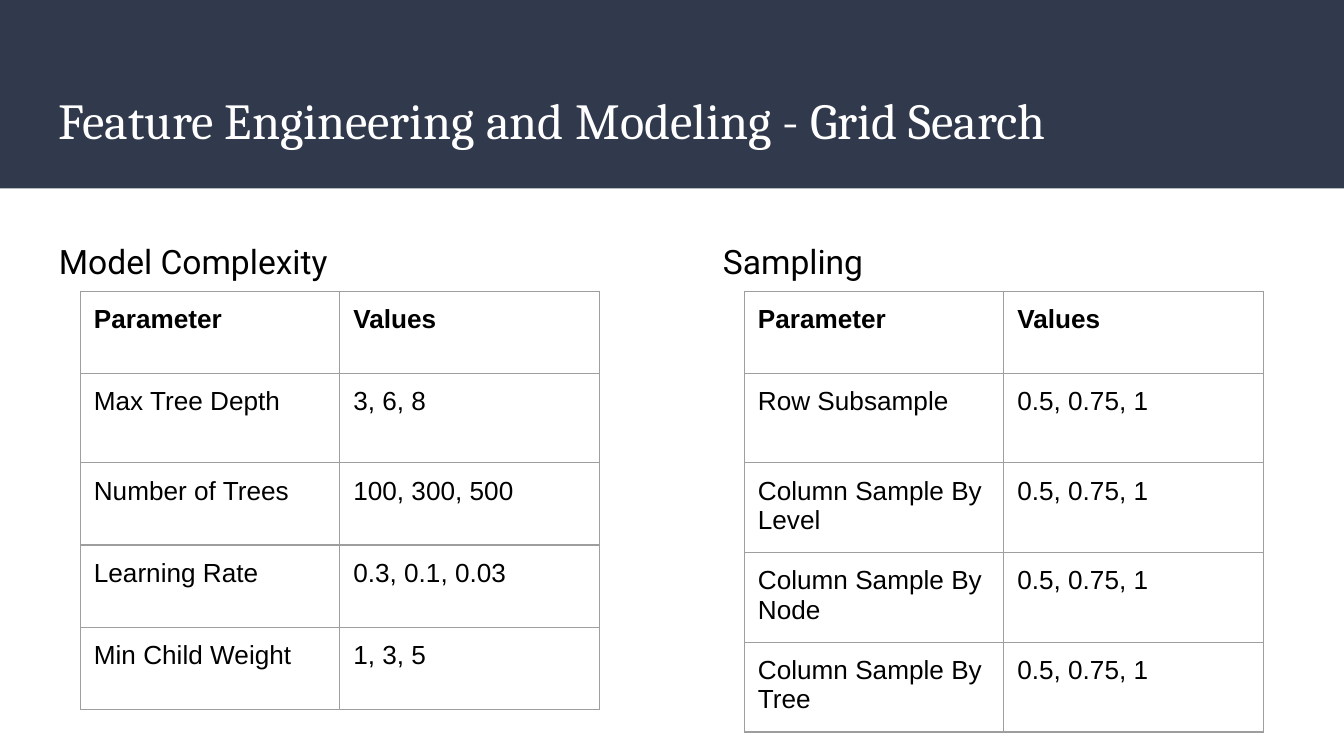
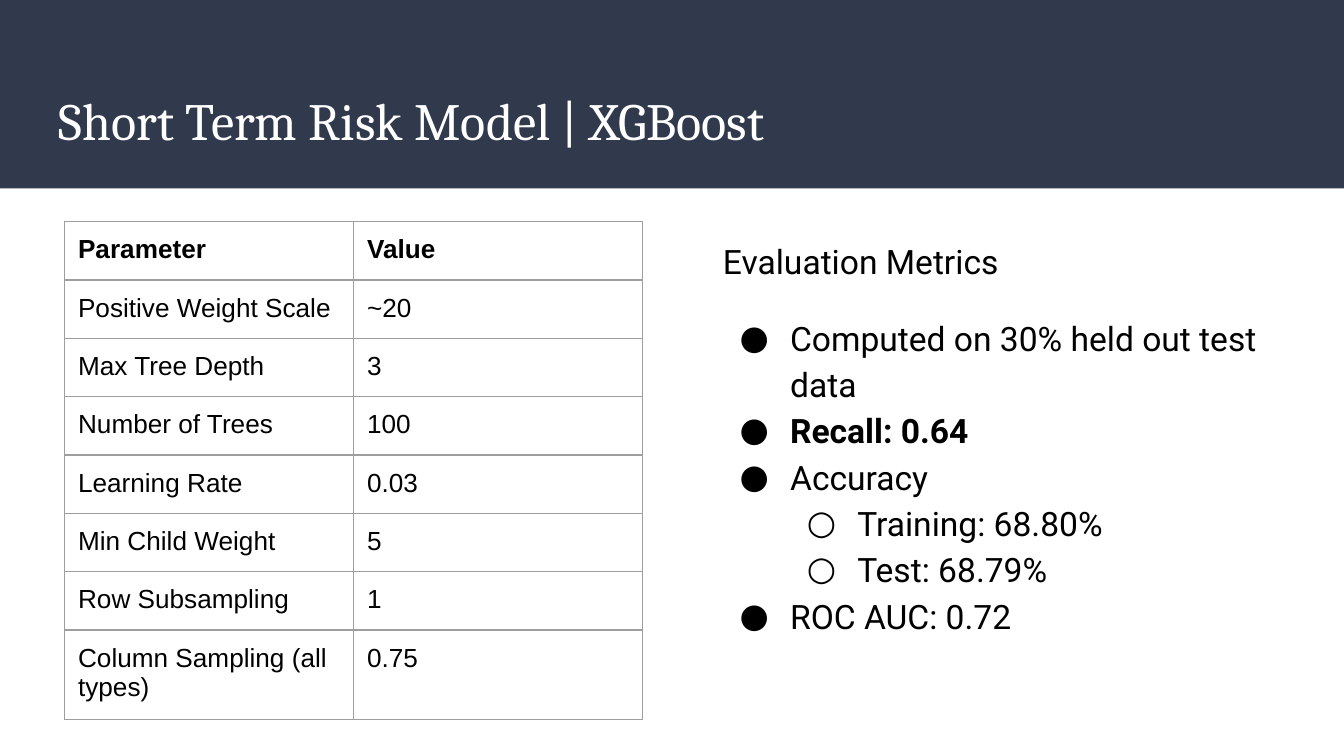
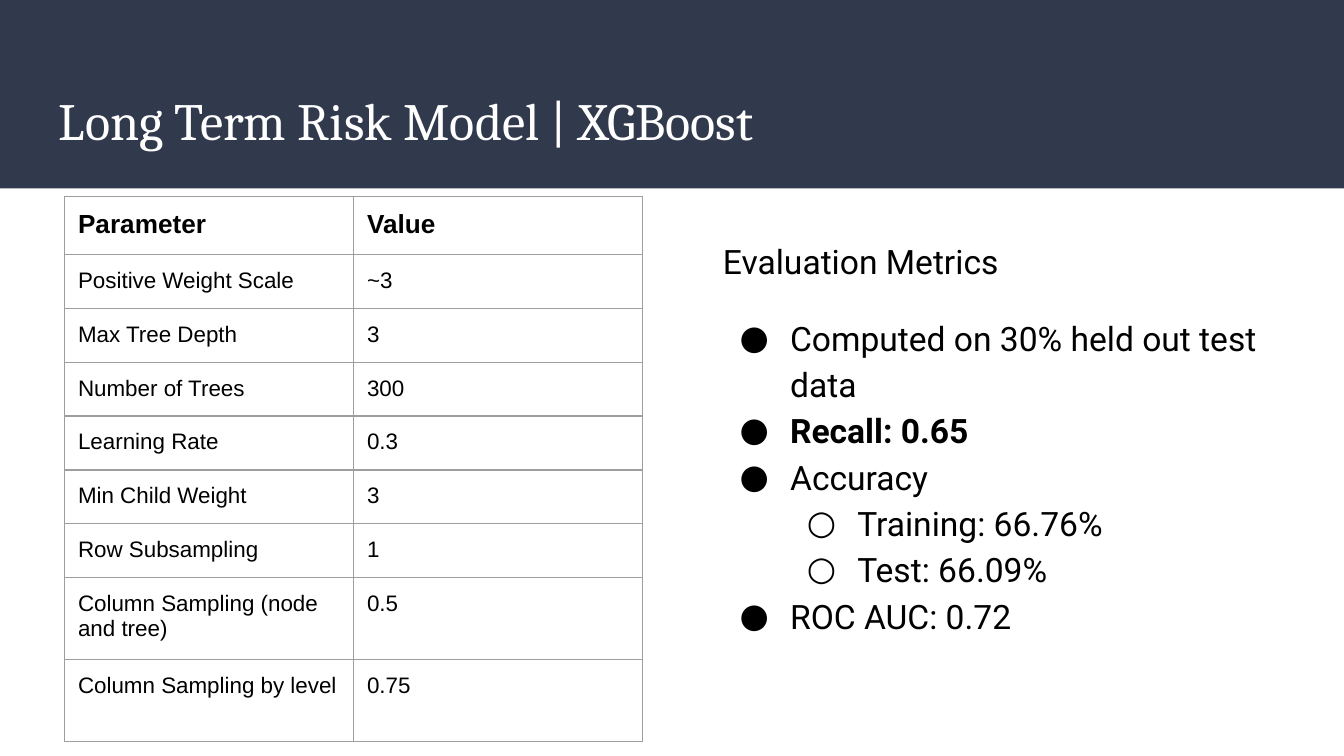
from lxml import etree
from pptx import Presentation
from pptx import util as u
from pptx.dml.color import RGBColor
from pptx.enum import shapes, text
from pptx.oxml.ns import qn

COLOURS = {"band": "31394D", "title": "FFFFFF", "ink": "000000", "rule": "9E9E9E"}
INSET = u.Pt(7.2)
INSETS = {f"margin_{side}": INSET for side in ("left", "right", "top", "bottom")}

# Boxes are left, top, width, height in points
BAND = (0, 0, 720, 101)
TITLE = (24.5, 39.5, 671, 49)
LEFT_BODY = (24.5, 118.8, 314.6, 242)
RIGHT_BODY = (380.2, 118.8, 314.6, 242)

TITLE_FONT = {"name": "Cambria", "size": u.Pt(28)}
BODY_FONT = {"name": "Roboto", "size": u.Pt(18)}
CELL_FONT = {"name": "Arial", "size": u.Pt(14)}
BULLETS = "●○"


def colour(name):
    return RGBColor.from_string(COLOURS[name])


def apply_format(target, values):
    for name, value in values.items():
        setattr(target, name, value)


def write(para, words, font, ink="ink"):
    span = para.add_run()
    span.text = words
    apply_format(span.font, font)
    span.font.color.rgb = colour(ink)


def add_box(page, place, **values):
    box = page.shapes.add_textbox(*map(u.Pt, place))
    apply_format(box.text_frame, {"word_wrap": True, **INSETS, **values})
    return box.text_frame


def add_titled_page(deck, title, size=28):
    page = deck.slides.add_slide(deck.slide_layouts[6])
    # Header band
    band = page.shapes.add_shape(shapes.MSO_SHAPE.RECTANGLE, *map(u.Pt, BAND))
    band.shadow.inherit = False
    band.fill.solid()
    band.fill.fore_color.rgb = colour("band")
    band.line.fill.background()
    # Title
    frame = add_box(page, TITLE, vertical_anchor=text.MSO_ANCHOR.MIDDLE)
    write(frame.paragraphs[0], title, {**TITLE_FONT, "size": u.Pt(size)}, "title")
    return page


def add_bullet(para, level):
    properties = para._p.get_or_add_pPr()
    properties.set("marL", str(u.Pt(36 * (level + 1))))
    properties.set("indent", str(u.Pt(-27)))
    tint = etree.SubElement(properties, qn("a:buClr"))
    etree.SubElement(tint, qn("a:srgbClr"), val=COLOURS["ink"])
    etree.SubElement(properties, qn("a:buFont"), typeface=BODY_FONT["name"])
    etree.SubElement(properties, qn("a:buChar"), char=BULLETS[level])


def add_body(page, place, heading, items=()):
    """Write a heading, then bullets given as (level, words, bold)."""
    frame = add_box(page, place)
    heading_para = frame.paragraphs[0]
    heading_para.line_spacing = 1.15
    write(heading_para, heading, BODY_FONT)
    for index, (level, words, bold) in enumerate(items):
        para = frame.add_paragraph()
        apply_format(para, {"level": level, "line_spacing": 1.15,
                            "space_before": u.Pt(0 if index else 16)})
        add_bullet(para, level)
        write(para, words, {**BODY_FONT, "bold": bold})


def add_borders(cell):
    properties = cell._tc.get_or_add_tcPr()
    for side in ("lnL", "lnR", "lnT", "lnB"):
        line = etree.SubElement(properties, qn(f"a:{side}"), w=str(u.Pt(0.75)))
        fill = etree.SubElement(line, qn("a:solidFill"))
        etree.SubElement(fill, qn("a:srgbClr"), val=COLOURS["rule"])


def add_parameters(page, corner, column_width, heights, rows, size=14):
    """Draw a two-column table whose first row is bold."""
    place = (*corner, 2 * column_width, sum(heights))
    table = page.shapes.add_table(len(rows), 2, *map(u.Pt, place)).table
    apply_format(table, {"first_row": False, "horz_banding": False})
    for column in table.columns:
        column.width = u.Pt(column_width)
    for index, (values, height) in enumerate(zip(rows, heights)):
        table.rows[index].height = u.Pt(height)
        font = {**CELL_FONT, "bold": index == 0}
        if index:
            font["size"] = u.Pt(size)
        for cell, words in zip(table.rows[index].cells, values):
            add_borders(cell)
            cell.fill.background()
            apply_format(cell, INSETS)
            write(cell.text_frame.paragraphs[0], words, font)


def add_grid_search(deck):
    page = add_titled_page(deck, "Feature Engineering and Modeling - Grid Search", 27)
    header = ("Parameter", "Values")
    complexity = [header, ("Max Tree Depth", "3, 6, 8"),
                  ("Number of Trees", "100, 300, 500"),
                  ("Learning Rate", "0.3, 0.1, 0.03"),
                  ("Min Child Weight", "1, 3, 5")]
    sampled = ("Row Subsample", "Column Sample By Level",
               "Column Sample By Node", "Column Sample By Tree")
    sampling = [header] + [(name, "0.5, 0.75, 1") for name in sampled]
    groups = ((LEFT_BODY, "Model Complexity", complexity),
              (RIGHT_BODY, "Sampling", sampling))
    for place, heading, rows in groups:
        add_body(page, place, heading)
        corner = (place[0] + 18.6, place[1] + 37.2)
        add_parameters(page, corner, 139, (44, 48, 44, 44, 44), rows)


def add_risk_model(deck, term, top, heights, names, values, scores, size=14):
    page = add_titled_page(deck, f"{term} Term Risk Model | XGBoost")
    recall, training, test, area = scores
    add_body(page, RIGHT_BODY, "Evaluation Metrics", (
        (0, "Computed on 30% held out test data", False),
        (0, f"Recall: {recall}", True),
        (0, "Accuracy", False),
        (1, f"Training: {training}", False),
        (1, f"Test: {test}", False),
        (0, f"ROC AUC: {area}", False)))
    rows = [("Parameter", "Value"), *zip(names, values)]
    add_parameters(page, (34.6, top), 154.8, heights, rows, size)


def main():
    deck = Presentation()
    apply_format(deck, {"slide_width": u.Pt(720), "slide_height": u.Pt(405)})
    add_grid_search(deck)

    shared = ("Positive Weight Scale", "Max Tree Depth", "Number of Trees",
              "Learning Rate", "Min Child Weight", "Row Subsampling")
    add_risk_model(
        deck, "Short", 118.8, [28.8] * 7 + [36.8],
        (*shared, "Column Sampling (all types)"),
        ("~20", "3", "100", "0.03", "5", "1", "0.75"),
        ("0.64", "68.80%", "68.79%", "0.72"))
    add_risk_model(
        deck, "Long", 105.2, [28.8] * 7 + [44] * 2,
        (*shared, "Column Sampling (node and tree)", "Column Sampling by level"),
        ("~3", "3", "300", "0.3", "3", "1", "0.5", "0.75"),
        ("0.65", "66.76%", "66.09%", "0.72"), size=12)
    deck.save("out.pptx")


if __name__ == "__main__":
    main()
